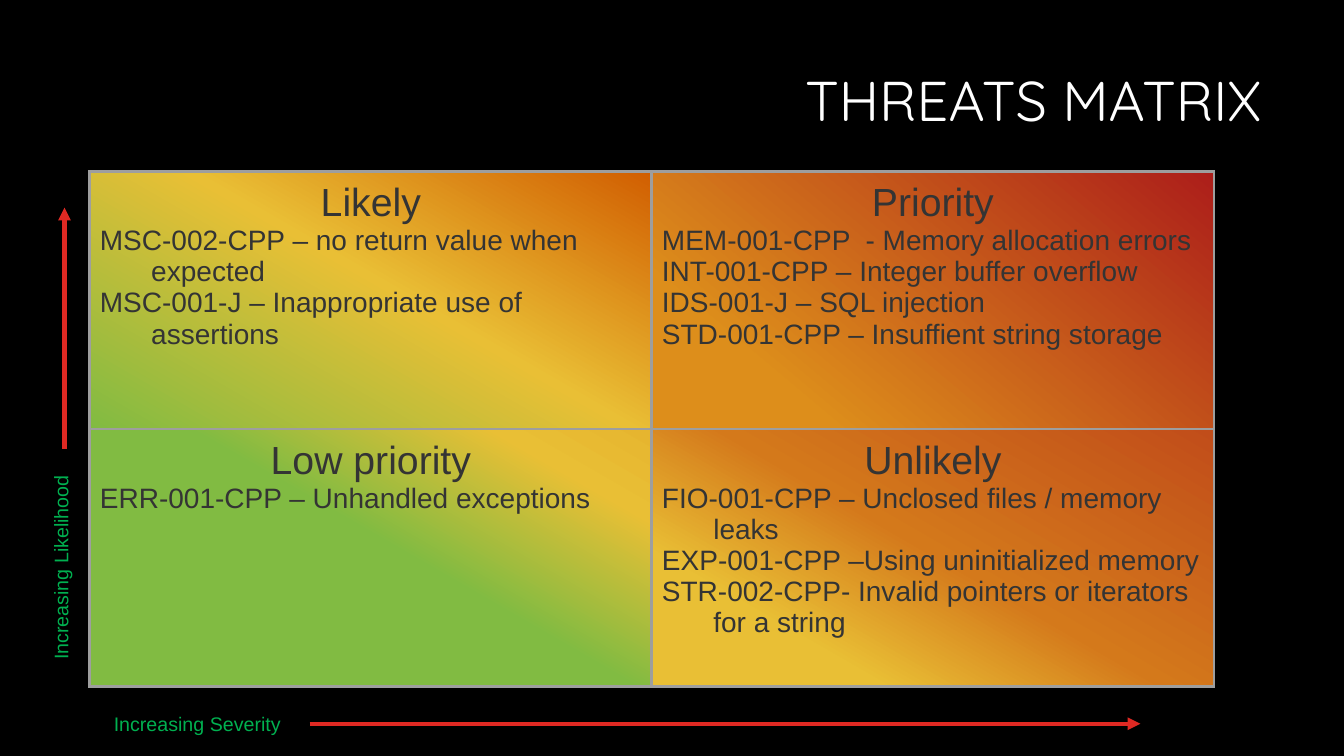
from dataclasses import dataclass

from lxml import etree
from pptx import Presentation
from pptx.dml.color import RGBColor as RGB
from pptx.enum.shapes import MSO_CONNECTOR as CONN
from pptx.enum.text import MSO_ANCHOR as ANCHOR, MSO_AUTO_SIZE as AUTO, PP_ALIGN as ALIGN
from pptx.oxml.ns import qn
from pptx.util import Inches, Pt

# Content: heading, threats, gradient stops (percent, colour), gradient angle
TITLE = "THREATS MATRIX"
MATRIX = [
    [
        ("Likely",
         ["MSC-002-CPP – no return value when expected",
          "MSC-001-J – Inappropriate use of assertions"],
         [(0, "81BB42"), (54, "E9BF35"), (100, "D15E01")], 300),
        ("Priority",
         ["MEM-001-CPP  - Memory allocation errors",
          "INT-001-CPP – Integer buffer overflow",
          "IDS-001-J – SQL injection",
          "STD-001-CPP – Insuffient string storage"],
         [(21, "DD8E1B"), (100, "AC1E1A")], 310),
    ],
    [
        ("Low priority",
         ["ERR-001-CPP – Unhandled exceptions"],
         [(54, "81BB42"), (84, "E9BF35"), (100, "E6B52F")], 300),
        ("Unlikely",
         ["FIO-001-CPP – Unclosed files / memory leaks",
          "EXP-001-CPP –Using uninitialized memory",
          "STR-002-CPP- Invalid pointers or iterators for a string"],
         [(23, "E9BF35"), (51, "D4791B"), (100, "C14D1A")], 300),
    ],
]
# Axes: label, label box, rotation, arrow start, arrow end
AXES = [
    ("Increasing Severity", (1.03, 7.01, 9.42, 0.34), 0, (3.07, 7.18), (11.31, 7.18)),
    ("Increasing Likelihood", (-0.49, 5.38, 2.19, 0.34), 270, (0.64, 4.45), (0.64, 2.06)),
]
TITLE_BOX = (3.19, 0.32, 9.42, 1.41)
TABLE_BOX = (0.89, 1.7, 11.15, 5.11)
CELL_MARGIN = Inches(0.1)
HANGING = Inches(0.51)


@dataclass(frozen=True)
class Theme:
    background: str = "000000"
    title: str = "FFFFFF"
    text: str = "343434"
    label: str = "00B050"
    arrow: str = "DF2923"
    border: str = "9E9E9E"
    title_font: str = "Quicksand"
    body_font: str = "Arial"
    title_size: int = 40
    heading_size: int = 28
    body_size: int = 20
    label_size: int = 14
    border_width: float = 2.25
    arrow_width: int = 3


THEME = Theme()


def box(values):
    return [Inches(v) for v in values]


def style(p, font, size, color):
    p.font.name = font
    p.font.size = Pt(size)
    p.font.color.rgb = RGB.from_string(color)


def add(parent, tag, **attrs):
    return etree.SubElement(parent, qn(tag), {k: str(v) for k, v in attrs.items()})


def add_solid(parent, color):
    add(add(parent, "a:solidFill"), "a:srgbClr", val=color)


def paint_cell(cell, stops, angle):
    """Draw the four borders, then the gradient."""
    tcPr = cell._tc.get_or_add_tcPr()
    for side in "LRTB":
        ln = add(tcPr, f"a:ln{side}", w=Pt(THEME.border_width))
        add_solid(ln, THEME.border)
    grad = add(tcPr, "a:gradFill", rotWithShape=1)
    gs_list = add(grad, "a:gsLst")
    for percent, color in stops:
        gs = add(gs_list, "a:gs", pos=percent * 1000)
        add(gs, "a:srgbClr", val=color)
    add(grad, "a:lin", ang=angle * 60000, scaled=0)


def fill_cell(cell, heading, threats, stops, angle):
    cell.margin_left = cell.margin_right = CELL_MARGIN
    cell.margin_top = cell.margin_bottom = CELL_MARGIN
    cell.vertical_anchor = ANCHOR.TOP
    tf = cell.text_frame
    p = tf.paragraphs[0]
    p.text = heading
    p.alignment = ALIGN.CENTER
    style(p, THEME.body_font, THEME.heading_size, THEME.text)
    for threat in threats:
        p = tf.add_paragraph()
        p.text = threat
        pPr = p._p.get_or_add_pPr()
        pPr.set("marL", str(HANGING))
        pPr.set("indent", str(-HANGING))
        style(p, THEME.body_font, THEME.body_size, THEME.text)
    paint_cell(cell, stops, angle)


def add_title(s):
    sp = s.shapes.title
    sp.left, sp.top, sp.width, sp.height = box(TITLE_BOX)
    tf = sp.text_frame
    tf.text = TITLE
    tf.vertical_anchor = ANCHOR.MIDDLE
    p = tf.paragraphs[0]
    p.alignment = ALIGN.RIGHT
    p.line_spacing = 0.9
    style(p, THEME.title_font, THEME.title_size, THEME.title)


def add_matrix(s):
    x, y, w, h = box(TABLE_BOX)
    table = s.shapes.add_table(len(MATRIX), len(MATRIX[0]), x, y, w, h).table
    table.first_row = table.horz_banding = False
    for r, row in enumerate(MATRIX):
        for c, quadrant in enumerate(row):
            fill_cell(table.cell(r, c), *quadrant)


def add_axis(s, label, label_box, rotation, start, end):
    sp = s.shapes.add_textbox(*box(label_box))
    sp.rotation = rotation
    tf = sp.text_frame
    tf.word_wrap = True
    tf.auto_size = AUTO.SHAPE_TO_FIT_TEXT
    p = tf.paragraphs[0]
    p.text = label
    style(p, THEME.body_font, THEME.label_size, THEME.label)

    arrow = s.shapes.add_connector(CONN.STRAIGHT, *box(start + end))
    arrow.line.color.rgb = RGB.from_string(THEME.arrow)
    arrow.line.width = Pt(THEME.arrow_width)
    add(arrow.line._get_or_add_ln(), "a:tailEnd", type="triangle")
    add(arrow._element.spPr, "a:effectLst")


def main():
    prs = Presentation()
    prs.slide_width, prs.slide_height = Inches(13.33), Inches(7.5)
    s = prs.slides.add_slide(prs.slide_layouts[5])
    s.background.fill.solid()
    s.background.fill.fore_color.rgb = RGB.from_string(THEME.background)

    add_title(s)
    add_matrix(s)
    for axis in AXES:
        add_axis(s, *axis)
    prs.save("out.pptx")


if __name__ == "__main__":
    main()
